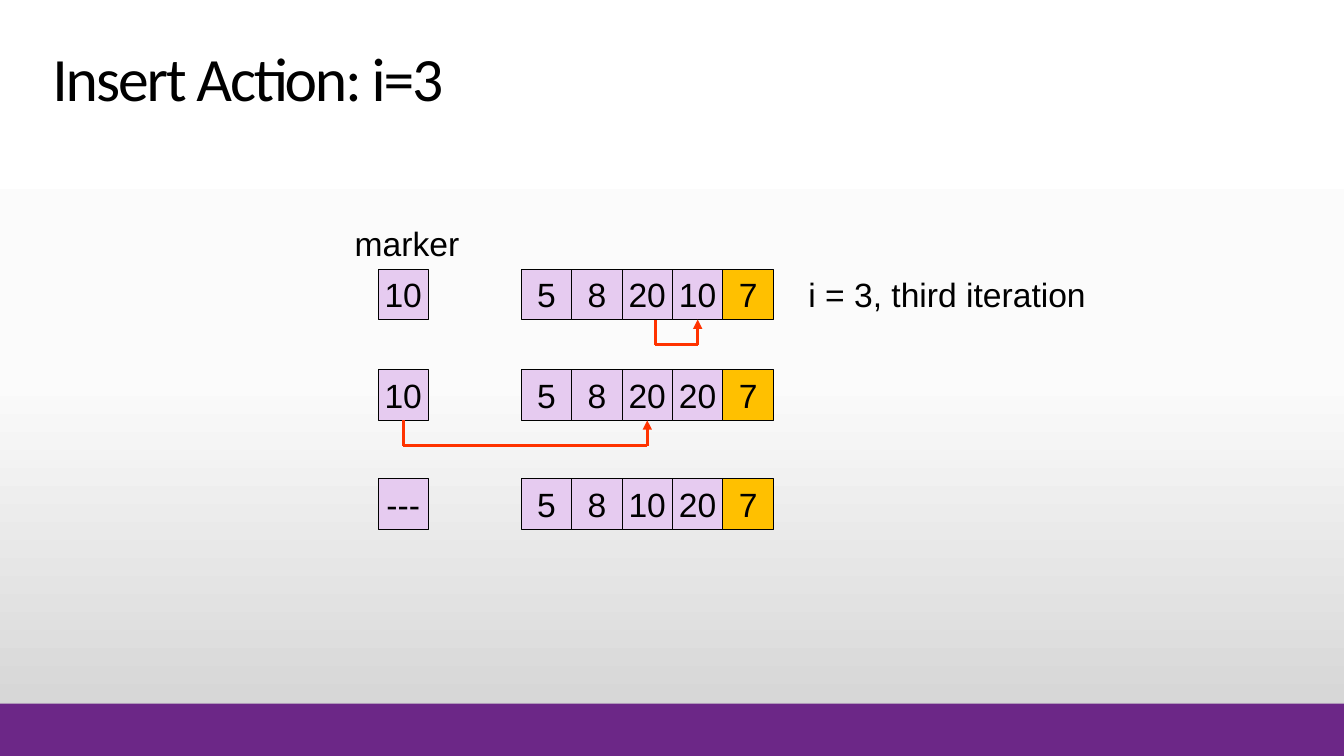
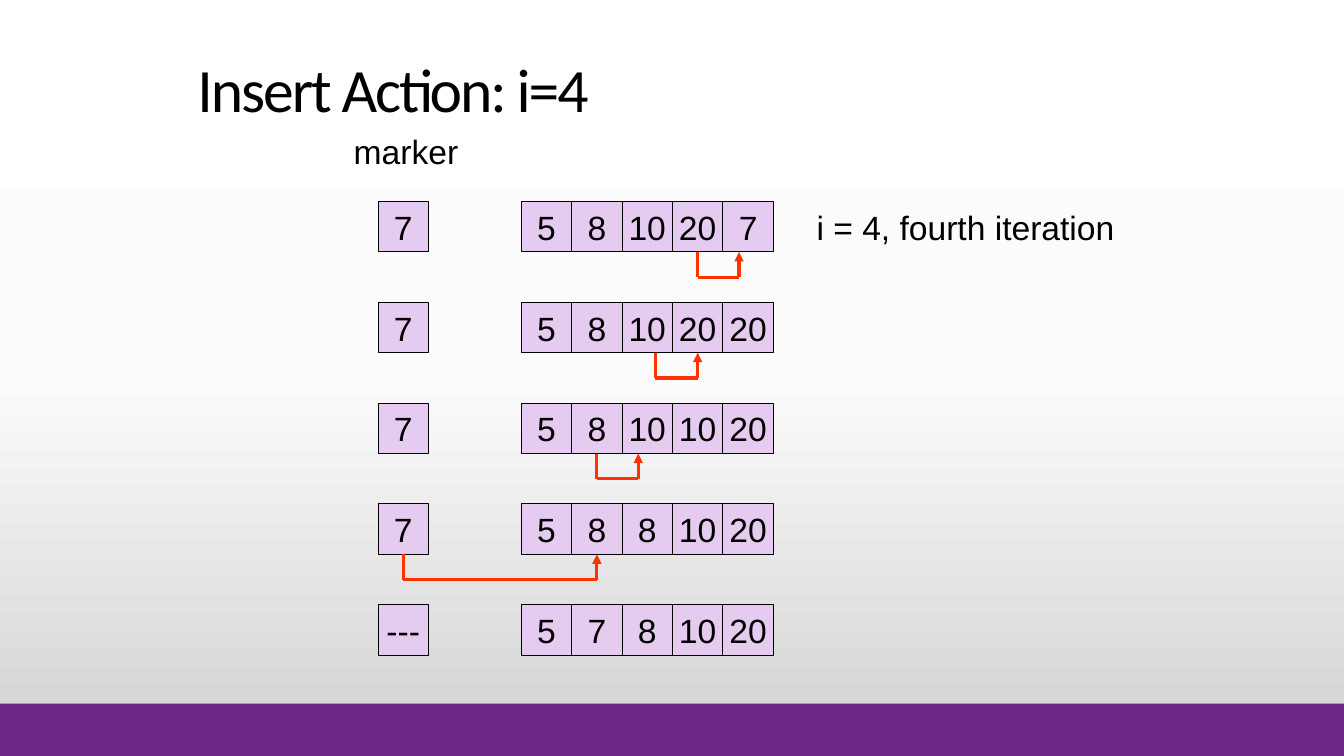
from copy import deepcopy
from dataclasses import dataclass
from typing import Any, Optional

from lxml import etree
from pptx import Presentation
from pptx import util as u
from pptx.dml.color import RGBColor
from pptx.enum import shapes, text
from pptx.oxml.ns import qn


@dataclass(frozen=True)
class Theme:
    band: RGBColor = RGBColor(0x6C, 0x27, 0x87)
    sorted_cell: RGBColor = RGBColor(0xE6, 0xCB, 0xF0)
    pending_cell: RGBColor = RGBColor(0xFF, 0xC0, 0x00)
    arrow: RGBColor = RGBColor(0xFF, 0x33, 0x00)
    ink: RGBColor = RGBColor(0, 0, 0)
    backdrop: tuple[tuple[float, str], ...] = ((0, "FFFFFF"), (0.5, "FBFBFB"), (1, "D1D1D1"))
    title_font: str = "Calibri"
    body_font: str = "Arial"
    title_size: float = 44
    body_size: float = 24
    cell_border: float = 0.75
    arrow_width: float = 2.25


@dataclass(frozen=True)
class Move:
    source: int
    target: int
    source_nudge: float = 0
    target_nudge: float = 0


@dataclass(frozen=True)
class Step:
    top: float
    marker: str
    values: str
    move: Optional[Move] = None


@dataclass(frozen=True)
class Label:
    words: str
    left: float
    top: float
    width: float
    height: float = 0.5


@dataclass(frozen=True)
class Iteration:
    title: Label
    marker_label: Label
    caption: Label
    steps: tuple[Step, ...]
    pending: int = 0


THEME = Theme()
WIDTH, HEIGHT = 13.33, 7.5
BAND_TOP = 6.98
CELL = 0.5
MARKER_LEFT = 3.75
ARRAY_LEFT = 5.17
DROP = 0.25
MARKER = 0

ITERATIONS = (
    Iteration(
        Label("Insert Action: i=3", 0.42, 0.32, 10.25, 0.87),
        Label("marker", 3.42, 2.16, 1.33),
        Label("i = 3, third iteration", 7.92, 2.67, 3),
        (
            Step(2.67, "10", "5 8 20 10 7", Move(3, 4, source_nudge=0.08)),
            Step(3.67, "10", "5 8 20 20 7", Move(MARKER, 3)),
            Step(4.75, "---", "5 8 10 20 7"),
        ),
        pending=1,
    ),
    Iteration(
        Label("Insert Action: i=4", 1.86, 0.05, 8.5, 1.25),
        Label("marker", 3.41, 1.25, 1.33),
        Label("i = 4, fourth iteration", 8, 2, 3.39),
        (
            Step(2, "7", "5 8 10 20 7", Move(4, 5, target_nudge=-0.09)),
            Step(3, "7", "5 8 10 20 20", Move(3, 4, source_nudge=0.08)),
            Step(4, "7", "5 8 10 10 20", Move(2, 3, target_nudge=-0.09)),
            Step(5, "7", "5 8 8 10 20", Move(MARKER, 2)),
            Step(6, "---", "5 7 8 10 20"),
        ),
    ),
)


def write(
    frame: Any,
    words: str,
    *,
    font: str = THEME.body_font,
    size: float = THEME.body_size,
    align: text.PP_ALIGN = text.PP_ALIGN.LEFT,
    anchor: text.MSO_ANCHOR = text.MSO_ANCHOR.TOP,
    wrap: bool = True,
    grow: bool = False,
    line_spacing: Optional[float] = None,
    tracking: Optional[int] = None,
) -> None:
    frame.word_wrap = wrap
    frame.vertical_anchor = anchor
    if grow:
        frame.auto_size = text.MSO_AUTO_SIZE.SHAPE_TO_FIT_TEXT
    paragraph = frame.paragraphs[0]
    paragraph.alignment = align
    paragraph.line_spacing = line_spacing
    run = paragraph.add_run()
    run.text = words
    run.font.name = font
    run.font.size = u.Pt(size)
    run.font.color.rgb = THEME.ink
    if tracking is not None:
        run.font._element.set("spc", str(tracking))


def add_label(slide: Any, label: Label, **style: Any) -> None:
    box = slide.shapes.add_textbox(
        u.Inches(label.left), u.Inches(label.top), u.Inches(label.width), u.Inches(label.height)
    )
    write(box.text_frame, label.words, **style)


def add_rectangle(
    slide: Any, left: float, top: float, width: float, height: float, color: RGBColor
) -> Any:
    rectangle = slide.shapes.add_shape(
        shapes.MSO_SHAPE.RECTANGLE,
        u.Inches(left), u.Inches(top), u.Inches(width), u.Inches(height),
    )
    rectangle.shadow.inherit = False
    rectangle.fill.solid()
    rectangle.fill.fore_color.rgb = color
    rectangle.line.fill.background()
    return rectangle


def add_cell(slide: Any, left: float, top: float, value: str, color: RGBColor) -> Any:
    cell = add_rectangle(slide, left, top, CELL, CELL, color)
    cell.line.color.rgb = THEME.ink
    cell.line.width = u.Pt(THEME.cell_border)
    write(cell.text_frame, value, align=text.PP_ALIGN.CENTER,
          anchor=text.MSO_ANCHOR.MIDDLE, wrap=False)
    return cell


def add_line(
    slide: Any,
    start: tuple[float, float],
    end: tuple[float, float],
    *,
    joined_cell: Any = None,
    head: bool = False,
) -> None:
    line = slide.shapes.add_connector(
        shapes.MSO_CONNECTOR.STRAIGHT, *(u.Inches(value) for value in (*start, *end))
    )
    if joined_cell is not None:
        line.end_connect(joined_cell, 2)
    line.line.color.rgb = THEME.arrow
    line.line.width = u.Pt(THEME.arrow_width)
    if head:
        etree.SubElement(line.line._get_or_add_ln(), qn("a:tailEnd"), type="triangle")
    etree.SubElement(line._element.spPr, qn("a:effectLst"))


def slot_left(slot: int) -> float:
    return MARKER_LEFT if slot == MARKER else ARRAY_LEFT + (slot - 1) * CELL


def add_move(slide: Any, move: Move, cells: list[Any], bottom: float) -> None:
    floor = bottom + DROP
    source_x = slot_left(move.source) + CELL / 2 + move.source_nudge
    target_x = slot_left(move.target) + CELL / 2 + move.target_nudge
    add_line(slide, (source_x, floor), (source_x, bottom),
             joined_cell=None if move.source_nudge else cells[move.source])
    add_line(slide, (target_x, floor), (target_x, bottom), head=True,
             joined_cell=None if move.target_nudge else cells[move.target])
    add_line(slide, (target_x, floor), (source_x, floor))


def add_step(slide: Any, step: Step, pending: int) -> None:
    values = [step.marker, *step.values.split()]
    first_pending = len(values) - pending
    cells = [
        add_cell(slide, slot_left(slot), step.top, value,
                 THEME.sorted_cell if slot < first_pending else THEME.pending_cell)
        for slot, value in enumerate(values)
    ]
    if step.move:
        add_move(slide, step.move, cells, step.top + CELL)


def paint_backdrop(master: Any) -> None:
    fill = master.background.fill
    fill.gradient()
    fill.gradient_angle = 270
    stop_list = next(master.element.iter(qn("a:gsLst")))
    stop_list.append(deepcopy(stop_list[-1]))
    for stop, (position, color) in zip(fill.gradient_stops, THEME.backdrop):
        stop.position = position
        stop.color.rgb = RGBColor.from_string(color)


def add_iteration(deck: Any, iteration: Iteration) -> None:
    slide = deck.slides.add_slide(deck.slide_layouts[6])
    add_rectangle(slide, 0, BAND_TOP, WIDTH, HEIGHT - BAND_TOP, THEME.band)
    add_label(slide, iteration.title, font=THEME.title_font, size=THEME.title_size,
              anchor=text.MSO_ANCHOR.BOTTOM, line_spacing=0.9, tracking=-150)
    for step in iteration.steps:
        add_step(slide, step, iteration.pending)
    for label in (iteration.caption, iteration.marker_label):
        add_label(slide, label, grow=True)


def main() -> None:
    deck = Presentation()
    deck.slide_width = u.Inches(WIDTH)
    deck.slide_height = u.Inches(HEIGHT)
    paint_backdrop(deck.slide_master)
    for iteration in ITERATIONS:
        add_iteration(deck, iteration)
    deck.save("out.pptx")


if __name__ == "__main__":
    main()
